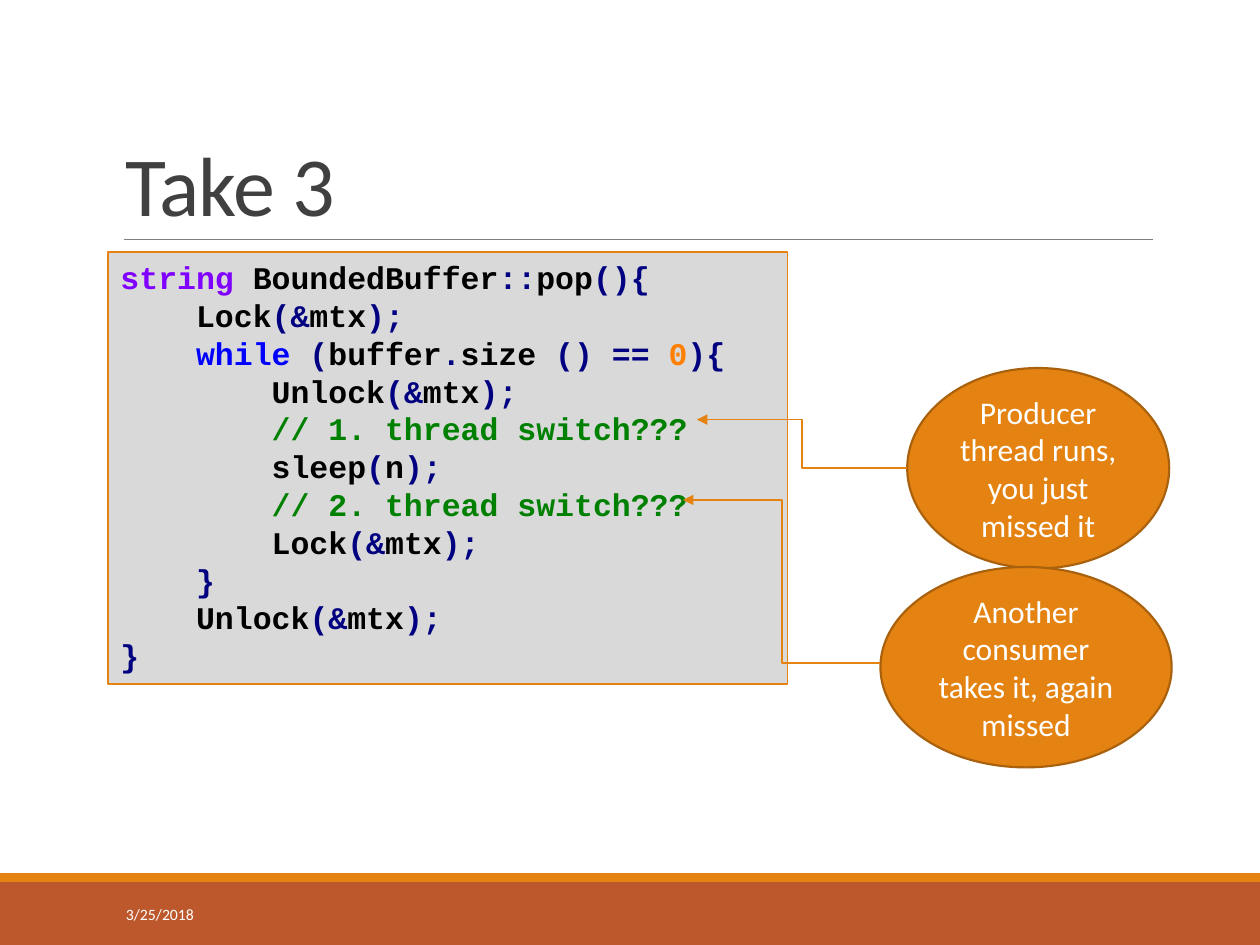
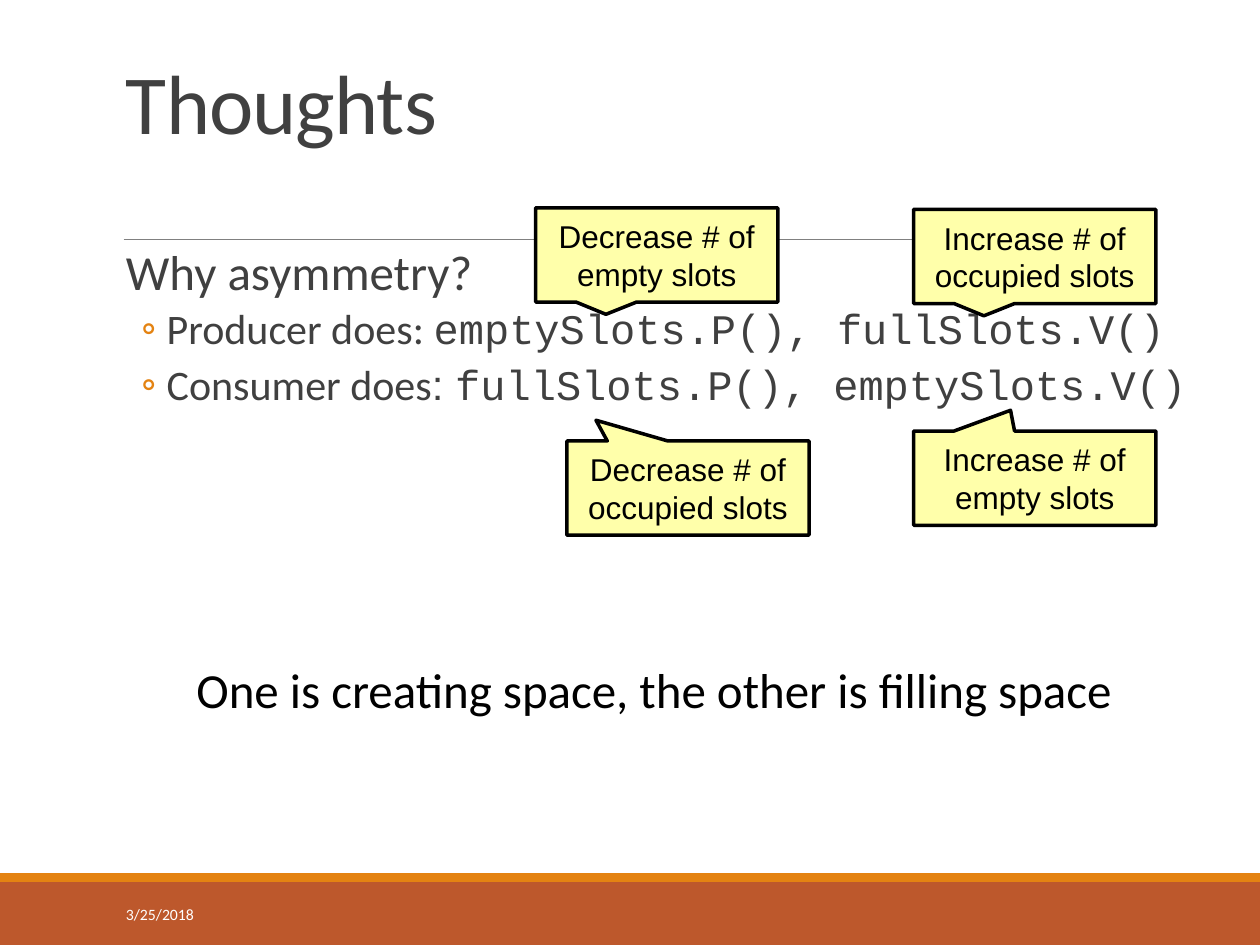
import itertools

import pptx
import pptx.dml.color
import pptx.enum.shapes
import pptx.enum.text
import pptx.oxml.ns
import pptx.util
from lxml import etree

Cm = pptx.util.Cm
Pt = pptx.util.Pt
Shape = pptx.enum.shapes.MSO_SHAPE
Link = pptx.enum.shapes.MSO_CONNECTOR
Align = pptx.enum.text.PP_ALIGN
Anchor = pptx.enum.text.MSO_ANCHOR

HUES = {
    "rust": "BD582C", "gold": "E48312", "brown": "A9610D", "rule": "808080",
    "text": "404040", "white": "FFFFFF", "black": "000000", "pale": "FFFFAA",
    "panel": "D9D9D9", "type": "8000FF", "key": "0000FF", "sign": "000080",
    "digit": "FF8000", "note": "008000",
}
WORDS = {"string": "type", "while": "key"}
SIGNS = "(){}&:;.="
WIDE, HIGH = 25.4, 19.05
LEFT, SPAN, RULE_Y = 2.29, 20.96, 4.83
CODE = """string BoundedBuffer::pop(){
    Lock(&mtx);
    while (buffer.size () == 0){
        Unlock(&mtx);
        // 1. thread switch???
        sleep(n);
        // 2. thread switch???
        Lock(&mtx);
    }
    Unlock(&mtx);
}"""


def hue(name):
    """Return the named colour."""
    return pptx.dml.color.RGBColor.from_string(HUES[name])


def put(thing, **vals):
    """Set each given value on the thing."""
    for name, val in vals.items():
        setattr(thing, name, val)


def add_tag(parent, tag, **attrs):
    """Append a drawing element and return it."""
    return etree.SubElement(parent, pptx.oxml.ns.qn(tag), attrs)


def add_run(para, text, size, tint, face="Calibri", bold=False):
    """Add one styled run and return it."""
    run = para.add_run()
    run.text = text
    put(run.font, size=Pt(size), name=face, bold=bold)
    run.font.color.rgb = hue(tint)
    return run


def add_text(slide, box, anchor=Anchor.TOP, wrap=True):
    """Add a text box and return its frame."""
    frame = slide.shapes.add_textbox(*map(Cm, box)).text_frame
    put(frame, word_wrap=wrap, vertical_anchor=anchor)
    return frame


def add_form(slide, kind, box, fill, line=None, width=1):
    """Add a filled preset shape with an optional outline."""
    form = slide.shapes.add_shape(kind, *map(Cm, box))
    form.shadow.inherit = False
    form.fill.solid()
    form.fill.fore_color.rgb = hue(fill)
    if line:
        form.line.color.rgb = hue(line)
        form.line.width = Pt(width)
    else:
        form.line.fill.background()
    return form


def add_label(form, text, tint, face="Calibri"):
    """Centre a label in a shape."""
    frame = form.text_frame
    put(frame, word_wrap=True, vertical_anchor=Anchor.MIDDLE)
    para = frame.paragraphs[0]
    para.alignment = Align.CENTER
    add_run(para, text, 18, tint, face)


def add_line(slide, kind, start, end, tint, width):
    """Add a plain connector and return it."""
    line = slide.shapes.add_connector(kind, *map(Cm, start + end))
    line.line.color.rgb = hue(tint)
    line.line.width = Pt(width)
    add_tag(line._element.spPr, "a:effectLst")
    return line


def add_base(deck, title, top, high):
    """Add a slide with its bands, rule, title and date."""
    slide = deck.slides.add_slide(deck.slide_layouts[6])
    add_form(slide, Shape.RECTANGLE, (0, 17.78, WIDE, 1.27), "rust")
    add_form(slide, Shape.RECTANGLE, (0, 17.6, WIDE, 0.18), "gold")
    add_line(slide, Link.STRAIGHT, (2.49, RULE_Y), (23.24, RULE_Y), "rule", 0.5)
    para = add_text(slide, (LEFT, top, SPAN, high), Anchor.BOTTOM).paragraphs[0]
    para.line_spacing = 0.85
    run = add_run(para, title, 48, "text")
    run.font._element.set("spc", "-50")
    date = add_text(slide, (LEFT, 17.93, 5.16, 1.02), Anchor.MIDDLE)
    add_run(date.paragraphs[0], "3/25/2018", 9, "white")
    return slide


def sort_char(char):
    """Name the class of a code character."""
    if char in SIGNS:
        return "sign"
    if char.isdigit():
        return "digit"
    return "space" if char == " " else "word"


def split_code(line):
    """Yield the coloured pieces of a code line."""
    code, mark, note = line.partition("//")
    for kind, chars in itertools.groupby(code, sort_char):
        part = "".join(chars)
        yield part, kind if kind in HUES else WORDS.get(part, "black")
    if mark:
        yield mark + note, "note"


def add_code(slide, box):
    """Draw the code panel."""
    frame = add_form(slide, Shape.RECTANGLE, box, "panel", "gold", 0.75).text_frame
    put(frame, word_wrap=True, vertical_anchor=Anchor.TOP)
    for row, line in enumerate(CODE.split("\n")):
        para = frame.add_paragraph() if row else frame.paragraphs[0]
        para.alignment = Align.LEFT
        for part, tint in split_code(line):
            add_run(para, part, 18, tint, "Courier New", True)


def add_bubble(slide, box, text, drop, tip):
    """Draw an oval remark with a bent arrow to its code line."""
    oval = add_form(slide, Shape.OVAL, box, "gold", "brown", 1.25)
    add_label(oval, text, "white")
    start = (box[0], box[1] + drop)
    line = add_line(slide, Link.ELBOW, start, tip, "gold", 1)
    add_tag(line.line._get_or_add_ln(), "a:tailEnd", type="triangle")


def add_points(slide, box, head, rows):
    """Draw a heading with its bulleted rows."""
    frame = add_text(slide, box)
    put(frame, margin_left=0, margin_right=0)
    para = frame.paragraphs[0]
    put(para, line_spacing=0.9, space_after=Pt(2))
    para._p.get_or_add_pPr().set("marL", str(Cm(0.25)))
    add_run(para, head, 28, "text")
    for runs in rows:
        para = frame.add_paragraph()
        props = para._p.get_or_add_pPr()
        put(para, level=1)
        props.set("marL", str(Cm(1.07)))
        props.set("indent", str(Cm(-0.51)))
        add_tag(add_tag(props, "a:buClr"), "a:srgbClr", val=HUES["gold"])
        add_tag(props, "a:buFont", typeface="Calibri")
        add_tag(props, "a:buChar", char="◦")
        put(para, line_spacing=0.9, space_before=Pt(2), space_after=Pt(4))
        for text, face in runs:
            add_run(para, text, 24, "text", face)


def add_callout(slide, spot, text, tip):
    """Draw a yellow callout pointing at the tip."""
    form = add_form(slide, Shape.RECTANGULAR_CALLOUT, spot + (4.88, 1.9),
                    "pale", "black", 2)
    for slot, val in enumerate(tip):
        form.adjustments[slot] = val
    add_label(form, text, "black", "Arial")


def make_take(deck):
    """Build the slide with the third version of pop."""
    slide = add_base(deck, "Take 3", 0.79, 4.04)
    add_code(slide, (2.18, 5.08, 13.69, 8.71))
    add_bubble(slide, (18.29, 7.42, 5.28, 4.04),
               "Producer thread runs, you just missed it", 2.02, (14.05, 8.46))
    add_bubble(slide, (17.75, 11.43, 5.87, 4.04),
               "Another consumer takes it, again missed", 1.93, (13.77, 10.08))


def make_thoughts(deck):
    """Build the slide on the asymmetry of the two threads."""
    slide = add_base(deck, "Thoughts", 0.74, 2.44)
    add_points(slide, (LEFT, 4.88, 22.6, 11.86), "Why asymmetry?", [
        [("Producer does: ", "Calibri"),
         ("emptySlots.P(), fullSlots.V()", "Courier New")],
        [("Consumer does", "Calibri"), (": ", "Arial"),
         ("fullSlots.P(), emptySlots.V()", "Courier New")],
    ])
    down = (-0.21, 0.63)
    for spot, text, tip in [
        ((10.8, 4.19), "Decrease # of empty slots", down),
        ((18.42, 4.22), "Increase # of occupied slots", down),
        ((18.42, 8.69), "Increase # of empty slots", (-0.1, -0.72)),
        ((11.43, 8.89), "Decrease # of occupied slots", (-0.38, -0.72)),
    ]:
        add_callout(slide, spot, text, tip)
    frame = add_text(slide, (3.71, 13.18, 19.02, 1.45), wrap=False)
    add_run(frame.paragraphs[0],
            "One is creating space, the other is filling space", 28, "black")


def main():
    """Build and save the deck."""
    deck = pptx.Presentation()
    put(deck, slide_width=Cm(WIDE), slide_height=Cm(HIGH))
    make_take(deck)
    make_thoughts(deck)
    deck.save("out.pptx")


if __name__ == "__main__":
    main()
